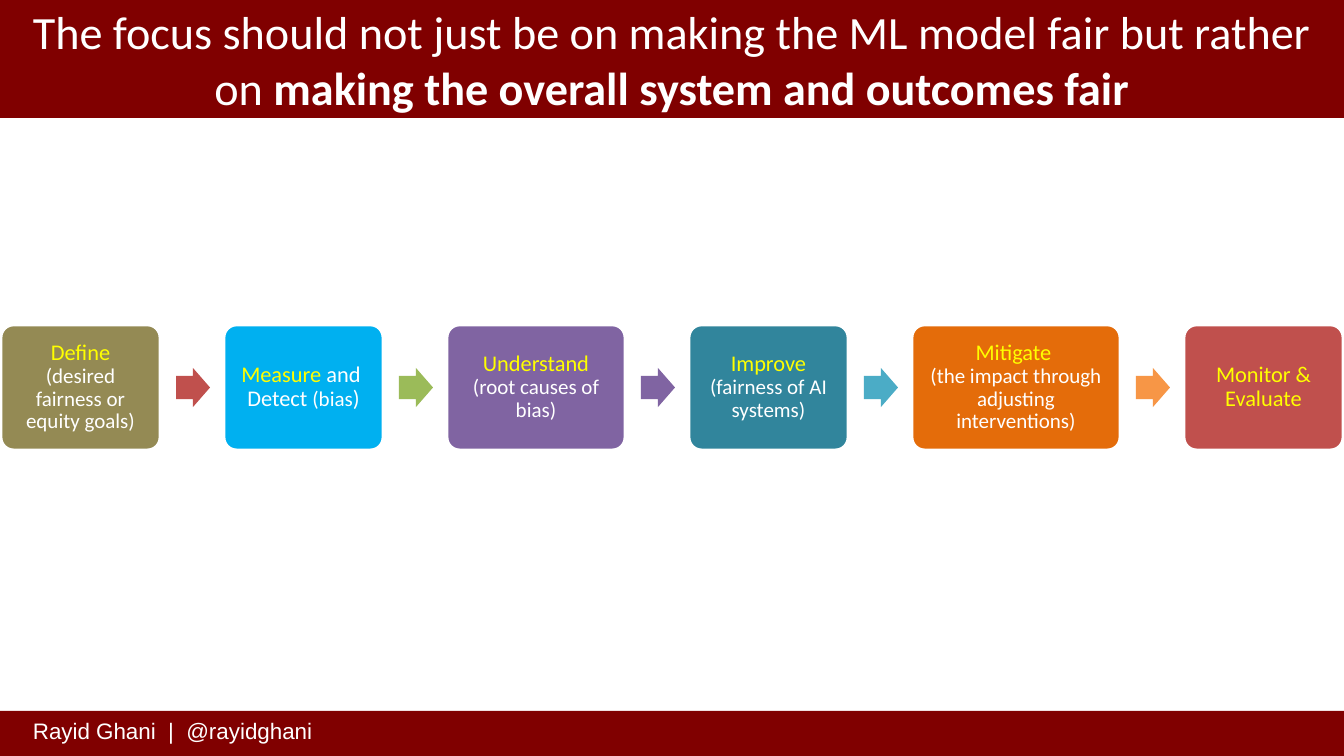
from lxml import etree
from pptx import Presentation
from pptx.dml.color import RGBColor
from pptx.enum.shapes import MSO_SHAPE
from pptx.enum.text import MSO_ANCHOR, MSO_AUTO_SIZE, PP_ALIGN
from pptx.oxml.ns import qn
from pptx.util import Emu, Pt

RECTANGLE = MSO_SHAPE.RECTANGLE
ROUNDED = MSO_SHAPE.ROUNDED_RECTANGLE
ARROW = MSO_SHAPE.RIGHT_ARROW
MIDDLE = MSO_ANCHOR.MIDDLE
CENTER = PP_ALIGN.CENTER
NO_AUTOFIT = MSO_AUTO_SIZE.NONE

WHITE = RGBColor(0xFF, 0xFF, 0xFF)
YELLOW = RGBColor(0xFF, 0xFF, 0x00)
MAROON = RGBColor(0x80, 0x00, 0x00)
OLIVE = RGBColor(0x94, 0x8A, 0x54)
SKY = RGBColor(0x00, 0xB0, 0xF0)
PURPLE = RGBColor(0x80, 0x64, 0xA2)
TEAL = RGBColor(0x31, 0x85, 0x9C)
DARK_ORANGE = RGBColor(0xE4, 0x6C, 0x0A)
RED = RGBColor(0xC0, 0x50, 0x4D)
GREEN = RGBColor(0x9B, 0xBB, 0x59)
AQUA = RGBColor(0x4B, 0xAC, 0xC6)
ORANGE = RGBColor(0xF7, 0x96, 0x46)

LEAD = {"size": Pt(16), "name": "Calibri", "color": YELLOW}
LARGE = {"size": Pt(16), "name": "Calibri", "color": WHITE}
DETAIL = {"size": Pt(15), "name": "Calibri", "color": WHITE}
TITLE = {"size": Pt(33), "name": "Calibri", "color": WHITE, "bold": False}
TITLE_BOLD = {**TITLE, "bold": True}
CREDIT = {"size": Pt(16), "name": "Arial", "color": WHITE}

TITLE_RUNS = [
    ("The focus should not just be on making the ML model fair but rather on ", TITLE),
    ("making the overall system and outcomes fair", TITLE_BOLD),
]
CREDIT_RUNS = [("Rayid Ghani  |  @rayidghani", CREDIT)]
STEPS = [
    (159, OLIVE, [("Define ", LEAD), ("(desired fairness or equity goals)", DETAIL)]),
    (159, SKY, [("Measure", LEAD), (" and ", LARGE), ("\n", LARGE), ("Detect ", LARGE),
                ("(bias", DETAIL), (")", LARGE)]),
    (178, PURPLE, [("Understand ", LEAD), ("(root causes of bias)", DETAIL)]),
    (159, TEAL, [("Improve ", LEAD), ("(fairness of AI systems)", DETAIL)]),
    (208, DARK_ORANGE, [("Mitigate ", LEAD), ("\n", LEAD),
                        ("(the impact through adjusting interventions)", DETAIL)]),
    (159, RED, [("Monitor & Evaluate", LEAD)]),
]
ARROW_COLORS = [RED, GREEN, PURPLE, AQUA, ORANGE]

SLIDE_WIDTH, SLIDE_HEIGHT = 1344, 756
STEP_LEFT, STEP_TOP, STEP_HEIGHT, STEP_GAP = 1, 325, 125, 64
ARROW_OFFSET, ARROW_WIDTH, ARROW_HEIGHT = 16, 34, 39
STEP_INSET = 11


def px(length):
    return Emu(round(length * 914400 / 100.8))


def add_filled(page, kind, place, color):
    shape = page.shapes.add_shape(kind, *map(px, place))
    shape.shadow.inherit = False
    shape.fill.solid()
    shape.fill.fore_color.rgb = color
    shape.line.fill.background()
    return shape


def write(para, pieces):
    for text, style in pieces:
        if text == "\n":
            para.add_line_break()
            size = str(round(style["size"].pt * 100))
            etree.SubElement(para._p[-1], qn("a:rPr"), sz=size)
            continue
        span = para.add_run()
        span.text = text
        for key, value in style.items():
            if key == "color":
                span.font.color.rgb = value
            else:
                setattr(span.font, key, value)


def add_step(page, left, width, color, pieces):
    box = add_filled(page, ROUNDED, (left, STEP_TOP, width, STEP_HEIGHT), color)
    box.adjustments[0] = 0.1
    box.line.color.rgb = WHITE
    box.line.width = Pt(2)
    frame = box.text_frame
    frame.word_wrap = True
    frame.vertical_anchor = MIDDLE
    for side in ("left", "right", "top", "bottom"):
        setattr(frame, f"margin_{side}", px(STEP_INSET))
    para = frame.paragraphs[0]
    para.alignment = CENTER
    para.line_spacing = 0.9
    write(para, pieces)


def add_arrow(page, left, color):
    top = STEP_TOP + (STEP_HEIGHT - ARROW_HEIGHT) / 2
    arrow = add_filled(page, ARROW, (left, top, ARROW_WIDTH, ARROW_HEIGHT), color)
    arrow.adjustments[0] = 0.6
    arrow.adjustments[1] = 0.5


def add_title(page):
    title = page.shapes.title
    title.left, title.top, title.width, title.height = map(px, (0, 0, SLIDE_WIDTH, 118))
    title.fill.solid()
    title.fill.fore_color.rgb = MAROON
    frame = title.text_frame
    frame.word_wrap = True
    frame.auto_size = NO_AUTOFIT
    frame.vertical_anchor = MIDDLE
    para = frame.paragraphs[0]
    para.alignment = CENTER
    write(para, TITLE_RUNS)


def main():
    deck = Presentation()
    deck.slide_width, deck.slide_height = px(SLIDE_WIDTH), px(SLIDE_HEIGHT)
    page = deck.slides.add_slide(deck.slide_layouts[5])
    add_title(page)

    add_filled(page, RECTANGLE, (0, 711, SLIDE_WIDTH, 45), MAROON)
    credit = page.shapes.add_textbox(*map(px, (23, 712, 306, 37)))
    credit.text_frame.word_wrap = True
    write(credit.text_frame.paragraphs[0], CREDIT_RUNS)

    left = STEP_LEFT
    for index, (width, color, pieces) in enumerate(STEPS):
        add_step(page, left, width, color, pieces)
        if index < len(ARROW_COLORS):
            add_arrow(page, left + width + ARROW_OFFSET, ARROW_COLORS[index])
        left += width + STEP_GAP

    deck.save("out.pptx")


if __name__ == "__main__":
    main()
